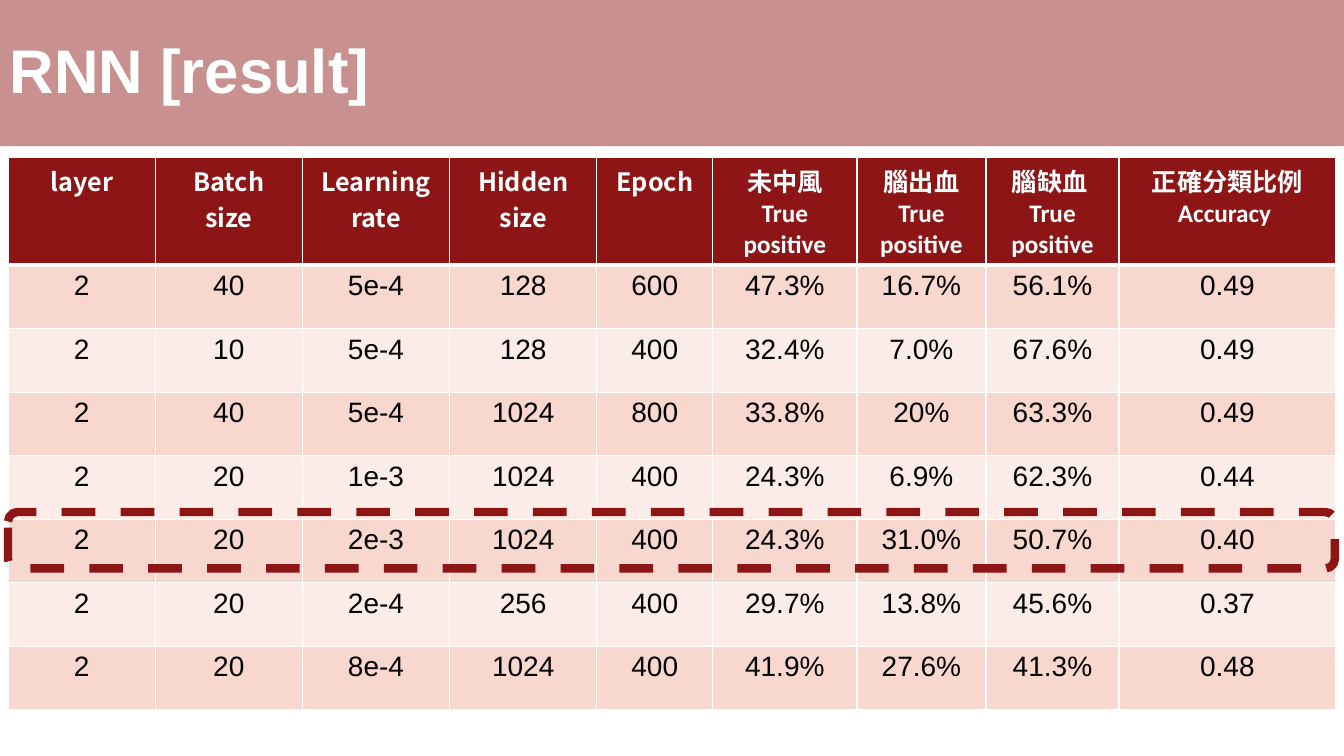
from dataclasses import dataclass

from lxml import etree
from pptx import Presentation
from pptx import util as u
from pptx.dml.color import RGBColor
from pptx.enum import dml, shapes, text
from pptx.oxml import ns

DARK_RED = "8D1515"
WHITE = "FFFFFF"
BLACK = "000000"
BANDS = ("F8D7CE", "FCECE8")
CJK_FONT = "Noto Sans CJK TC"


@dataclass(frozen=True)
class Style:
    font: str
    size: int
    color: str
    bold: bool


@dataclass(frozen=True)
class Column:
    width: float
    heading: tuple[str, ...]
    values: tuple[str, ...]
    bilingual: bool = False


TITLE = Style("Arial", 44, WHITE, True)
HEADING = Style(CJK_FONT, 18, WHITE, True)
SUBHEADING = Style("Calibri", 18, WHITE, True)
BODY = Style("Arial", 20, BLACK, False)

COLUMNS = (
    Column(1.46, ("layer",), ("2",) * 7),
    Column(1.46, ("Batch", "size"), ("40", "10", "40", "20", "20", "20", "20")),
    Column(1.46, ("Learning rate",),
           ("5e-4", "5e-4", "5e-4", "1e-3", "2e-3", "2e-4", "8e-4")),
    Column(1.46, ("Hidden size",),
           ("128", "128", "1024", "1024", "1024", "256", "1024")),
    Column(1.15, ("Epoch",), ("600", "400", "800", "400", "400", "400", "400")),
    Column(1.43, ("未中風", "True positive"),
           ("47.3%", "32.4%", "33.8%", "24.3%", "24.3%", "29.7%", "41.9%"), True),
    Column(1.28, ("腦出血", "True positive"),
           ("16.7%", "7.0%", "20%", "6.9%", "31.0%", "13.8%", "27.6%"), True),
    Column(1.32, ("腦缺血 ", "True positive"),
           ("56.1%", "67.6%", "63.3%", "62.3%", "50.7%", "45.6%", "41.3%"), True),
    Column(2.15, ("正確分類比例", "Accuracy "),
           ("0.49", "0.49", "0.49", "0.44", "0.40", "0.37", "0.48"), True),
)
ROW_HEIGHTS = (1.0,) + (0.63,) * 7


def rgb(color: str) -> RGBColor:
    return RGBColor.from_string(color)


def write(para, content: str, style: Style) -> None:
    para.text = content
    font = para.font
    font.name = style.font
    font.size = u.Pt(style.size)
    font.bold = style.bold
    font.color.rgb = rgb(style.color)
    if style.font == CJK_FONT:
        defaults = para._p.pPr.find(ns.qn("a:defRPr"))
        etree.SubElement(defaults, ns.qn("a:ea"), typeface=CJK_FONT)


def add_border(cell, side: str, width: float) -> None:
    line = etree.SubElement(cell._tc.get_or_add_tcPr(), ns.qn(f"a:ln{side}"),
                            w=str(u.Pt(width)))
    fill = etree.SubElement(line, ns.qn("a:solidFill"))
    etree.SubElement(fill, ns.qn("a:srgbClr"), val=WHITE)


def fill_cell(cell, lines: tuple[str, ...], styles: list[Style],
              color: str, bottom: float) -> None:
    for side, width in (("L", 1), ("R", 1), ("T", 1), ("B", bottom)):
        add_border(cell, side, width)
    cell.fill.solid()
    cell.fill.fore_color.rgb = rgb(color)
    frame = cell.text_frame
    for index, (content, style) in enumerate(zip(lines, styles)):
        para = frame.add_paragraph() if index else frame.paragraphs[0]
        para.alignment = text.PP_ALIGN.CENTER
        write(para, content, style)


def add_title(page) -> None:
    box = page.shapes.add_shape(shapes.MSO_SHAPE.RECTANGLE, 0, 0,
                                u.Inches(13.33), u.Inches(1.45))
    box.shadow.inherit = False
    box.line.fill.background()
    box.fill.solid()
    box.fill.fore_color.rgb = rgb(DARK_RED)
    color = box._element.spPr.find(ns.qn("a:solidFill"))[0]
    etree.SubElement(color, ns.qn("a:alpha"), val="47000")
    frame = box.text_frame
    frame.word_wrap = True
    frame.vertical_anchor = text.MSO_ANCHOR.MIDDLE
    para = frame.paragraphs[0]
    para.alignment = text.PP_ALIGN.LEFT
    para.line_spacing = 0.9
    write(para, "RNN [result]", TITLE)


def add_results(page) -> None:
    table = page.shapes.add_table(
        len(ROW_HEIGHTS), len(COLUMNS), u.Inches(0.08), u.Inches(1.56),
        u.Inches(sum(column.width for column in COLUMNS)),
        u.Inches(sum(ROW_HEIGHTS))).table
    table.horz_banding = False
    for row, height in zip(table.rows, ROW_HEIGHTS):
        row.height = u.Inches(height)
    for index, column in enumerate(COLUMNS):
        table.columns[index].width = u.Inches(column.width)
        second = SUBHEADING if column.bilingual else HEADING
        fill_cell(table.cell(0, index), column.heading, [HEADING, second],
                  DARK_RED, 3)
        for row, value in enumerate(column.values):
            fill_cell(table.cell(row + 1, index), (value,), [BODY],
                      BANDS[row % 2], 1)


def add_highlight(page) -> None:
    frame = page.shapes.add_shape(
        shapes.MSO_SHAPE.ROUNDED_RECTANGLE, u.Inches(0.08), u.Inches(5.08),
        u.Inches(13.16), u.Inches(0.56))
    frame.shadow.inherit = False
    frame.fill.background()
    frame.line.color.rgb = rgb(DARK_RED)
    frame.line.width = u.Pt(6)
    frame.line.dash_style = dml.MSO_LINE.DASH


def main() -> None:
    deck = Presentation()
    deck.slide_width = u.Inches(13.33)
    deck.slide_height = u.Inches(7.5)
    page = deck.slides.add_slide(deck.slide_layouts[6])
    add_title(page)
    add_results(page)
    add_highlight(page)
    deck.save("out.pptx")


if __name__ == "__main__":
    main()
